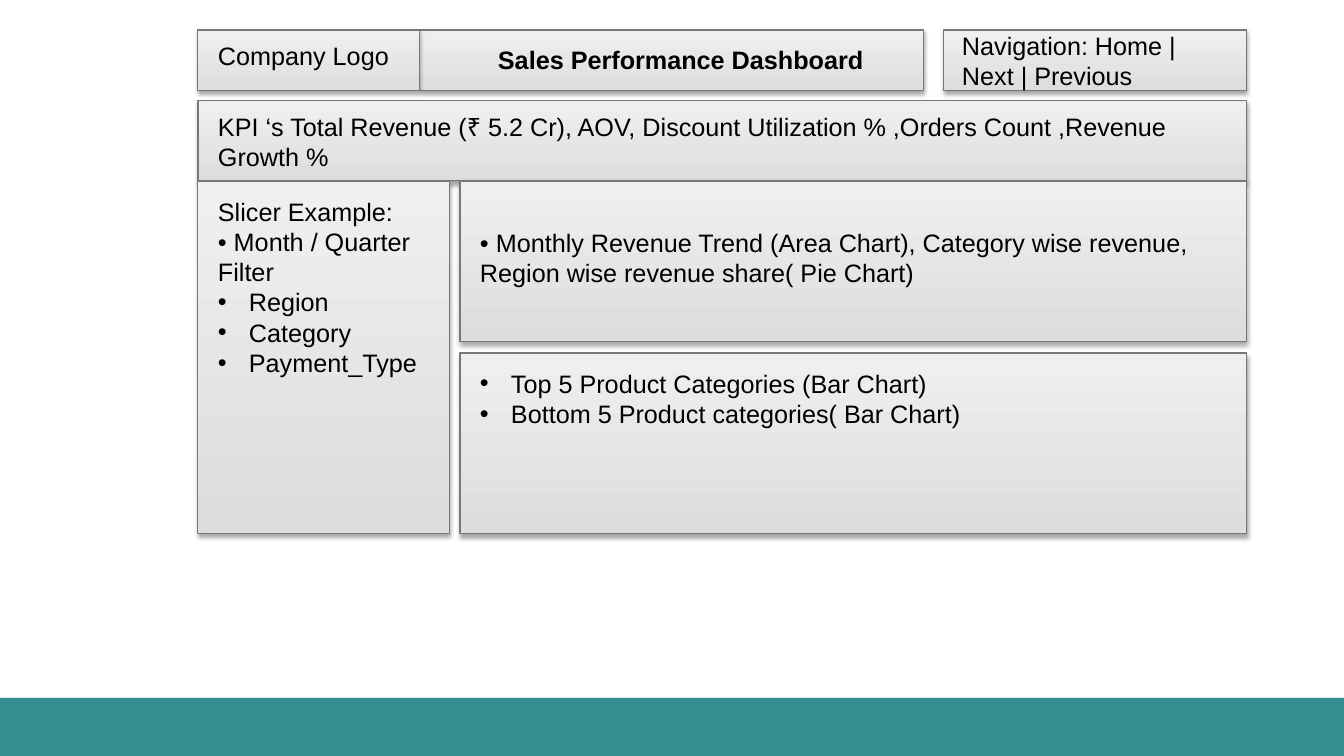
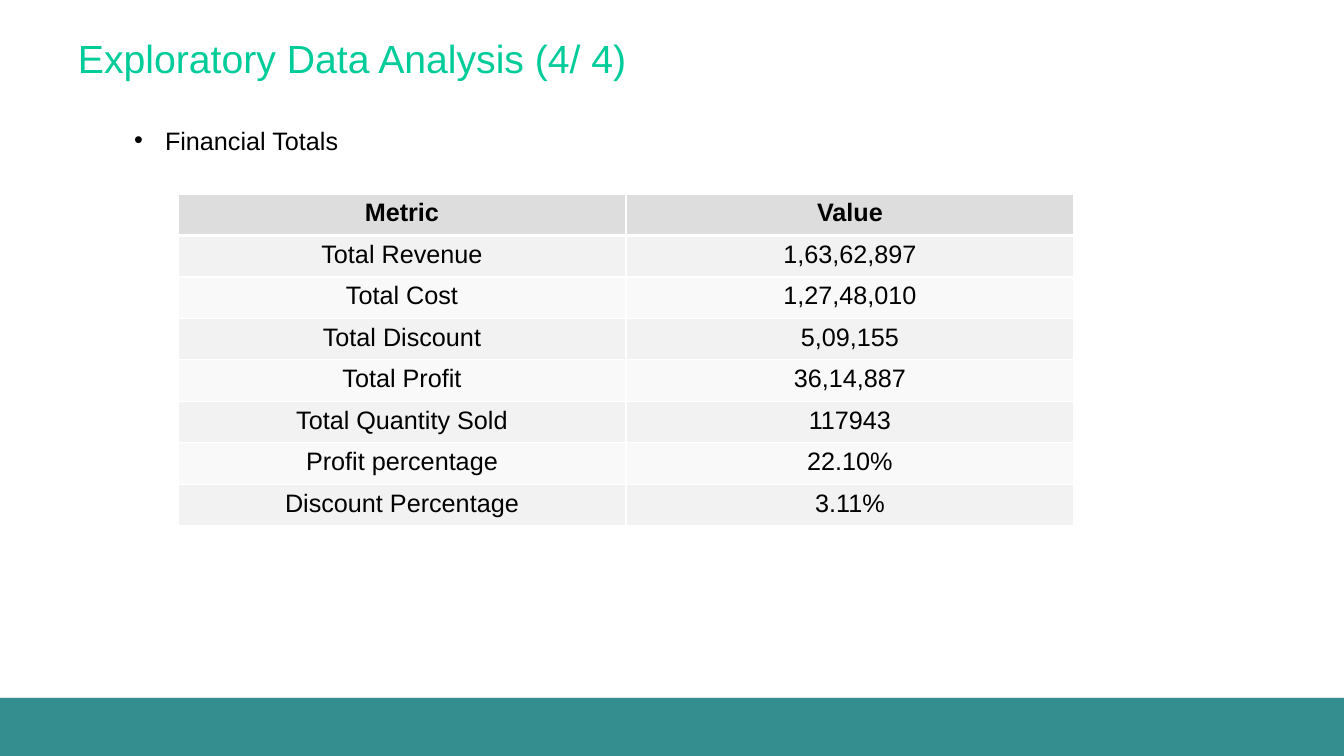
import pptx
import pptx.dml.color
import pptx.enum.shapes
import pptx.enum.text
import pptx.oxml
import pptx.oxml.ns
import pptx.util
from lxml import etree

qn = pptx.oxml.ns.qn
ALIGN = pptx.enum.text.PP_ALIGN
RECT = pptx.enum.shapes.MSO_SHAPE.RECTANGLE


def px(*sizes):
    return [pptx.util.Emu(round(size * 914400 / 100.8)) for size in sizes]


def rgb(code):
    return pptx.dml.color.RGBColor.from_string(code)


def node(parent, tag, **attrs):
    return etree.SubElement(parent, qn(tag), {k: str(v) for k, v in attrs.items()})


def shade(shape, alpha, blur, dist, angle):
    shape.shadow.inherit = False
    effects = shape.element.spPr.find(qn("a:effectLst"))
    outer = node(effects, "a:outerShdw", blurRad=blur, dist=dist,
                 dir=angle * 60000, rotWithShape=0)
    color = node(outer, "a:srgbClr", val="000000")
    node(color, "a:alpha", val=alpha * 1000)


def write(frame, *lines, size=18, color="000000", bold=False,
          align=ALIGN.LEFT, dots=None, pad=(10, 5, 10, 5)):
    frame.word_wrap = True
    frame.auto_size = pptx.enum.text.MSO_AUTO_SIZE.NONE
    frame.vertical_anchor = pptx.enum.text.MSO_ANCHOR.TOP
    (frame.margin_left, frame.margin_top,
     frame.margin_right, frame.margin_bottom) = px(*pad)
    for index, line in enumerate(lines):
        para = frame.add_paragraph() if index else frame.paragraphs[0]
        para.alignment = align
        if dots is not None and index >= dots:
            props = para._p.get_or_add_pPr()
            indent = px(31)[0]
            props.set("marL", str(indent))
            props.set("indent", str(-indent))
            node(props, "a:buFont", typeface="Arial")
            node(props, "a:buChar", char="•")
        run = para.add_run()
        run.text = line
        run.font.name = Deck.face
        run.font.size = pptx.util.Pt(size)
        run.font.bold = bold
        run.font.color.rgb = rgb(color)


class Deck:
    face = "Arial"
    teal = "348E90"
    green = "00CC99"
    edge = "787878"
    grays = ("DDDDDD", "EFEFEF")
    head = "DDDDDD"
    bands = ("F2F2F2", "F9F9F9")

    def __init__(self):
        self.file = pptx.Presentation()
        self.file.slide_width, self.file.slide_height = px(1344, 756)
        self.slide = None

    def start(self):
        self.slide = self.file.slides.add_slide(self.file.slide_layouts[5])

    def footer(self):
        bar = self.slide.shapes.add_shape(RECT, *px(0, 698, 1344, 58))
        bar.fill.solid()
        bar.fill.fore_color.rgb = rgb(self.teal)
        bar.line.fill.background()
        shade(bar, 40, 50800, 38100, 135)
        bar.element.nvSpPr.cNvPr.set("id", "99")
        self.file.slide_master.shapes.element.append(bar.element)

    def title(self, text, area, **style):
        shape = self.slide.shapes.title
        shape.left, shape.top, shape.width, shape.height = px(*area)
        write(shape.text_frame, text, **style)
        return shape

    def coat(self, shape):
        shape.fill.gradient()
        shape.fill.gradient_angle = 90
        for stop, gray in zip(shape.fill.gradient_stops, self.grays):
            stop.color.rgb = rgb(gray)
        shape.line.color.rgb = rgb(self.edge)
        shape.line.width = pptx.util.Pt(0.75)
        shade(shape, 35, 40000, 23000, 90)

    def panel(self, area, *lines, **style):
        shape = self.slide.shapes.add_shape(RECT, *px(*area))
        self.coat(shape)
        write(shape.text_frame, *lines, **style)

    def note(self, area, *lines, **style):
        box = self.slide.shapes.add_textbox(*px(*area))
        write(box.text_frame, *lines, **style)

    def border(self, cell, top, bottom):
        props = cell._tc.get_or_add_tcPr()
        for side, width in (("L", 1), ("R", 1), ("T", top), ("B", bottom)):
            line = node(props, "a:ln" + side, w=pptx.util.Pt(width))
            fill = node(line, "a:solidFill")
            node(fill, "a:srgbClr", val="FFFFFF")

    def table(self, area, rows):
        grid = self.slide.shapes.add_table(len(rows), len(rows[0]), *px(*area)).table
        for r, row in enumerate(rows):
            for c, value in enumerate(row):
                cell = grid.cell(r, c)
                self.border(cell, 3 if r == 1 else 1, 1 if r else 3)
                cell.fill.solid()
                cell.fill.fore_color.rgb = rgb(self.bands[(r - 1) % 2] if r else self.head)
                para_style = dict(bold=r == 0, align=ALIGN.CENTER)
                self.fill(cell, value, **para_style)

    def fill(self, cell, value, bold, align):
        para = cell.text_frame.paragraphs[0]
        para.alignment = align
        run = para.add_run()
        run.text = value
        run.font.name = self.face
        run.font.size = pptx.util.Pt(18)
        run.font.bold = bold
        run.font.color.rgb = rgb("000000")


def board(deck):
    deck.start()
    deck.footer()
    deck.panel((198, 30, 222, 61), "Company Logo", pad=(20, 10, 10, 5))
    head = deck.title("Sales Performance Dashboard", (420, 30, 504, 61),
                      bold=True, pad=(78, 14, 10, 5))
    deck.coat(head)
    deck.panel((944, 30, 303, 61), "Navigation: Home | Next | Previous",
               pad=(18, 0, 62, 0))
    deck.panel((198, 101, 1049, 80),
               "KPI ‘s Total Revenue (₹ 5.2 Cr), AOV, Discount Utilization % "
               ",Orders Count ,Revenue Growth %", pad=(20, 10, 10, 5))
    deck.panel((198, 181, 252, 353), "Slicer Example:", "• Month / Quarter Filter",
               "Region", "Category", "Payment_Type", dots=2, pad=(20, 15, 10, 5))
    deck.panel((460, 181, 787, 161),
               "• Monthly Revenue Trend (Area Chart), Category wise revenue, "
               "Region wise revenue share( Pie Chart)", pad=(20, 46, 23, 5))
    deck.panel((460, 353, 787, 181), "Top 5 Product Categories (Bar Chart)",
               "Bottom 5 Product categories( Bar Chart)", dots=0, pad=(20, 15, 10, 5))


def totals(deck):
    deck.start()
    deck.title("Exploratory Data Analysis (4/ 4)", (68, 29, 1099, 58),
               size=28, color=deck.green)
    deck.note((124, 120, 1014, 40), "Financial Totals", dots=0)
    deck.table((178, 194, 896, 332), [
        ("Metric", "Value"),
        ("Total Revenue", "1,63,62,897"),
        ("Total Cost", "1,27,48,010"),
        ("Total Discount", "5,09,155"),
        ("Total Profit", "36,14,887"),
        ("Total Quantity Sold", "117943"),
        ("Profit percentage", "22.10%"),
        ("Discount Percentage", "3.11%"),
    ])


def main():
    deck = Deck()
    board(deck)
    totals(deck)
    deck.file.save("out.pptx")


if __name__ == "__main__":
    main()
